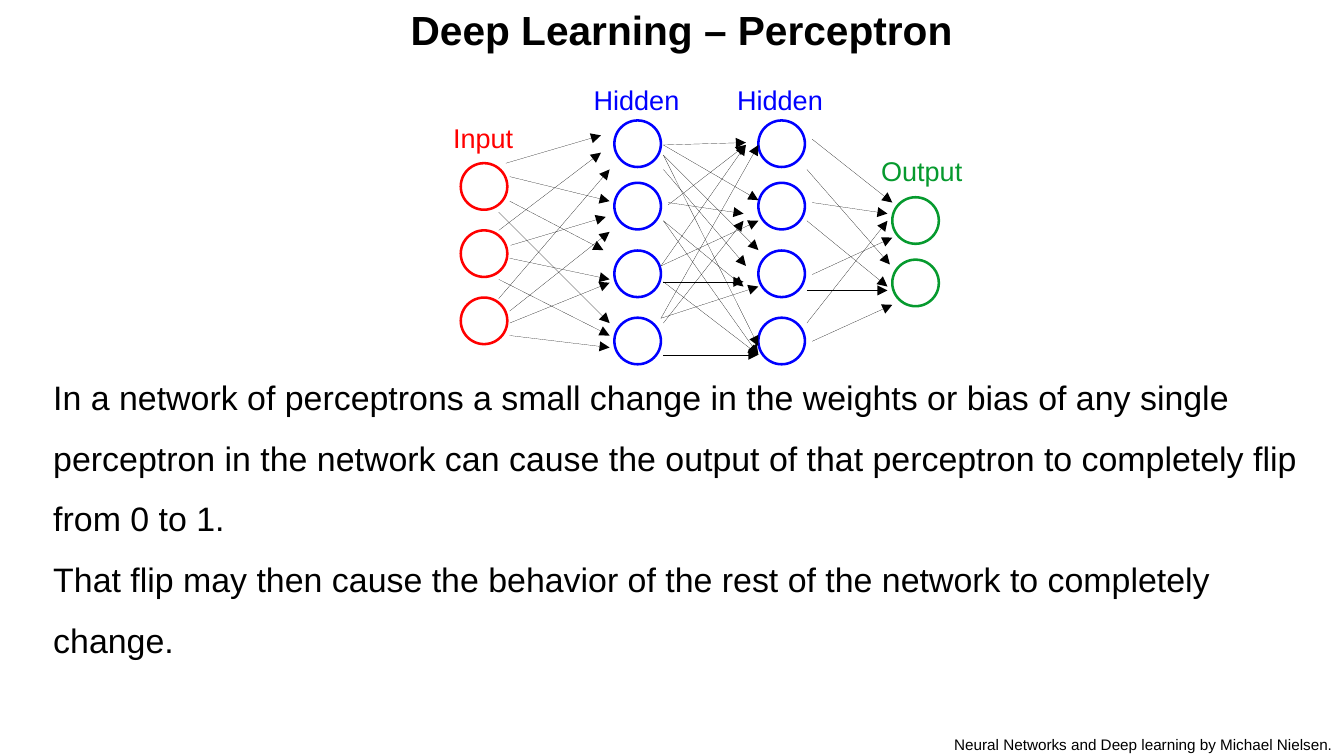
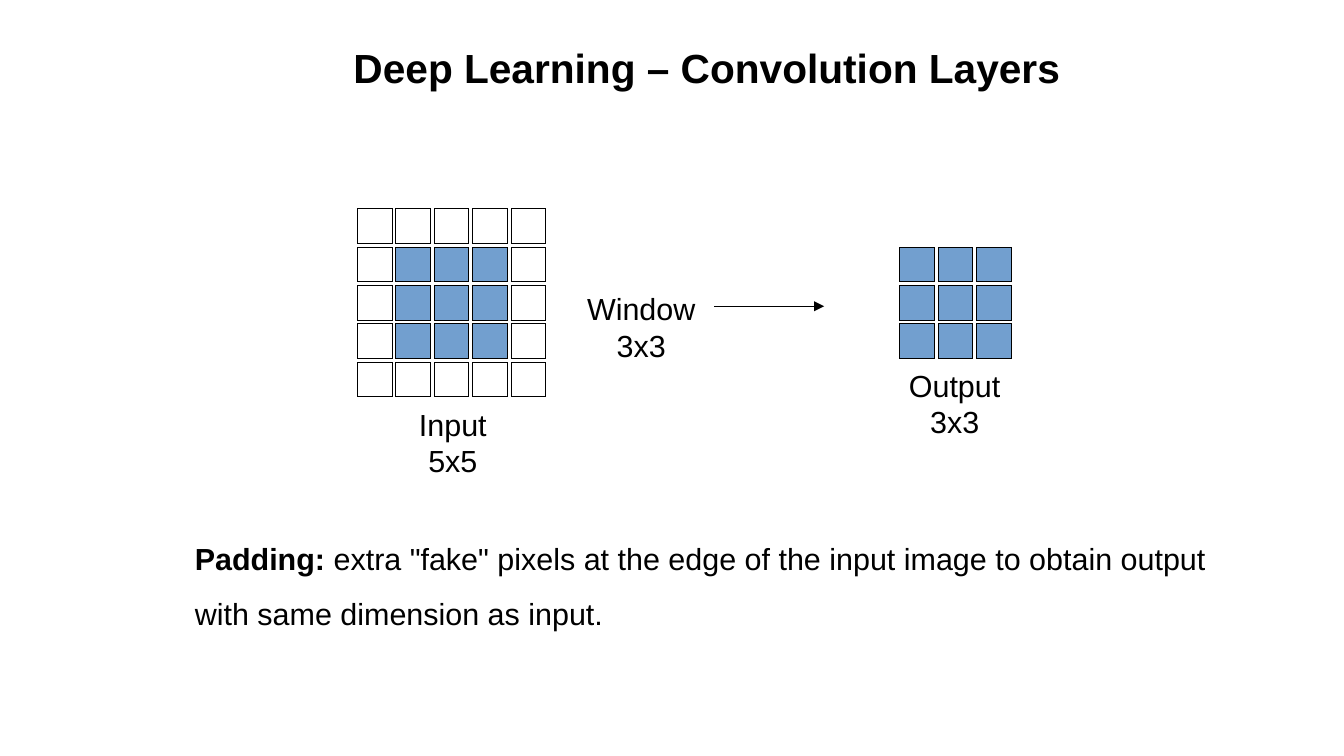
from lxml import etree
from pptx import Presentation
from pptx.dml.color import RGBColor
from pptx.enum import shapes, text
from pptx.oxml.ns import qn
from pptx.util import Cm, Pt

FONT = "Arial"
BLACK, RED, BLUE, GREEN, PIXEL = "000000", "FF0000", "0000FF", "069A2E", "729FCF"
NODE = 0.97
CELL, PITCH = 0.72, 0.8

LAYERS = [
    ("Input", RED, 9.6, (3.4, 4.8, 6.2), (9.19, 2.41)),
    ("Hidden", BLUE, 12.8, (2.51, 3.81, 5.22, 6.62), (12.12, 1.62)),
    ("Hidden", BLUE, 15.8, (2.51, 3.81, 5.22, 6.62), (15.11, 1.61)),
    ("Output", GREEN, 18.59, (4.11, 5.41), (18.11, 3.1)),
]

INPUT_WEIGHTS = [
    (10.54, 3.4, 12.52, 2.82), (10.62, 3.68, 12.7, 4.19),
    (10.62, 4.19, 12.57, 5.21), (10.39, 4.42, 12.7, 6.73),
    (10.64, 5.11, 12.62, 4.52), (10.62, 5.38, 12.7, 5.82),
    (10.39, 5.82, 12.7, 6.99), (10.39, 4.8, 12.52, 3.18),
    (10.39, 6.22, 12.7, 3.53), (10.62, 6.48, 12.7, 4.83),
    (10.62, 6.73, 12.7, 5.89), (10.62, 6.99, 12.7, 7.24),
]
HIDDEN_WEIGHTS = [
    (13.82, 3.53, 15.54, 5.54), (13.92, 4.22, 15.49, 4.45),
    (13.82, 4.6, 15.49, 5.97), (13.82, 5.87, 15.49, 5.87),
    (13.82, 6.73, 15.49, 4.6), (13.82, 3.02, 15.54, 2.97),
    (13.82, 3.02, 15.8, 4.17), (13.82, 3.23, 15.8, 5.21),
    (13.82, 3.23, 15.8, 7.21), (13.92, 4.27, 15.54, 3.02),
    (13.82, 4.6, 15.8, 7.39), (13.77, 5.54, 15.54, 3.02),
    (13.77, 5.54, 15.8, 4.6), (13.82, 5.87, 15.8, 7.39),
    (13.77, 6.63, 15.8, 3.02), (13.77, 6.63, 15.8, 5.97),
    (13.82, 7.39, 15.8, 7.39),
]
OUTPUT_WEIGHTS = [
    (16.92, 2.9, 18.59, 4.22), (16.81, 3.53, 18.54, 5.51),
    (16.92, 4.22, 18.49, 4.45), (16.81, 4.6, 18.49, 5.97),
    (16.92, 5.72, 18.59, 4.95), (16.81, 6.05, 18.49, 6.05),
    (16.92, 7.11, 18.59, 6.35), (16.81, 6.73, 18.49, 4.6),
]


def rgb(hex_code):
    """Turn a hex string into a colour."""
    return RGBColor.from_string(hex_code)


def style(paragraph, size, color=BLACK, bold=None):
    """Set the font of a whole paragraph."""
    font = paragraph.font
    font.name, font.size, font.bold = FONT, Pt(size), bold
    font.color.rgb = rgb(color)


def add_titled_slide(deck, title, left, top, width):
    """Add a title-only slide with its title moved into place."""
    slide = deck.slides.add_slide(deck.slide_layouts[5])
    heading = slide.shapes.title
    heading.left, heading.top = Cm(left), Cm(top)
    heading.width, heading.height = Cm(width), Cm(1.19)
    frame = heading.text_frame
    frame.text = title
    frame.auto_size = text.MSO_AUTO_SIZE.NONE
    frame.vertical_anchor = text.MSO_ANCHOR.TOP
    paragraph = frame.paragraphs[0]
    paragraph.alignment = text.PP_ALIGN.LEFT
    style(paragraph, 24, bold=True)
    return slide


def add_text(slide, box, paragraphs, size, color=BLACK, align=text.PP_ALIGN.LEFT,
             spacing=None, right_inset=0.25):
    """Add a text box; each paragraph is a list of (words, bold) runs."""
    frame = slide.shapes.add_textbox(*map(Cm, box)).text_frame
    frame.word_wrap = True
    frame.margin_right = Cm(right_inset)
    for index, runs in enumerate(paragraphs):
        paragraph = frame.add_paragraph() if index else frame.paragraphs[0]
        paragraph.alignment = align
        if spacing:
            paragraph.line_spacing = spacing
        style(paragraph, size, color)
        for words, bold in runs:
            run = paragraph.add_run()
            run.text = words
            if bold:
                run.font.bold = True


def add_caption(slide, box, name, size):
    """Add a centred caption with a name above a grid size."""
    add_text(slide, box, [[(name, False)], [(size, False)]], 18,
             align=text.PP_ALIGN.CENTER)


def set_hairline(line, color):
    """Give a line its colour and the thinnest stroke."""
    line.color.rgb = rgb(color)
    stroke = line._get_or_add_ln()
    stroke.set("w", "0")
    return stroke


def add_outline(slide, kind, left, top, side):
    """Add a square or circle without fill or shadow."""
    shape = slide.shapes.add_shape(kind, Cm(left), Cm(top), Cm(side), Cm(side))
    shape.shadow.inherit = False
    shape.fill.background()
    return shape


def add_arrow(slide, ends):
    """Add a hairline arrow running from the first point to the second."""
    arrow = slide.shapes.add_connector(shapes.MSO_CONNECTOR.STRAIGHT, *map(Cm, ends))
    stroke = set_hairline(arrow.line, BLACK)
    etree.SubElement(stroke, qn("a:tailEnd"), type="triangle")
    etree.SubElement(arrow._element.spPr, qn("a:effectLst"))


def add_layer(slide, name, color, left, tops, label_at):
    """Add one network layer with its label."""
    for top in tops:
        node = add_outline(slide, shapes.MSO_SHAPE.OVAL, left, top, NODE)
        node.line.color.rgb = rgb(color)
        node.line.width = Pt(1.5)
    add_text(slide, (*label_at, 2.75, 0.89), [[(name, False)]], 16, color)


def add_pixels(slide, left, top, count, border=0):
    """Add a square pixel grid, leaving a border of unfilled cells."""
    inner = range(border, count - border)
    for row in range(count):
        for column in range(count):
            pixel = add_outline(slide, shapes.MSO_SHAPE.RECTANGLE,
                                left + column * PITCH, top + row * PITCH, CELL)
            set_hairline(pixel.line, BLACK)
            if row in inner and column in inner:
                pixel.fill.solid()
                pixel.fill.fore_color.rgb = rgb(PIXEL)


def build_perceptron(deck):
    """Build the slide on networks of perceptrons."""
    slide = add_titled_slide(deck, "Deep Learning – Perceptron", 8.3, -0.03, 11.9)
    for layer in LAYERS:
        add_layer(slide, *layer)
    for weight in INPUT_WEIGHTS + HIDDEN_WEIGHTS + OUTPUT_WEIGHTS:
        add_arrow(slide, weight)
    add_text(slide, (0.86, 7.29, 26.97, 6.6), [
        [("In a network of perceptrons a small change in the weights or bias of any "
          "single perceptron in the network can cause the output of that perceptron "
          "to completely flip from 0 to 1.", False)],
        [("That flip may then cause the behavior of the rest of the network to "
          "completely change.", False)],
    ], 20, spacing=1.5)
    add_text(slide, (19.63, 15.19, 8.36, 0.53),
             [[("Neural Networks and Deep learning by Michael Nielsen.", False)]],
             9, right_inset=0)


def build_convolution(deck):
    """Build the slide on padding in convolution layers."""
    slide = add_titled_slide(deck, "Deep Learning – Convolution Layers", 7.11, 0.76, 16.74)
    add_pixels(slide, 7.45, 4.35, 5, border=1)
    add_pixels(slide, 18.75, 5.15, 3)
    add_caption(slide, (7.9, 8.33, 3.07, 1.73), "Input", "5x5")
    add_caption(slide, (11.86, 5.92, 3, 1.73), "Window", "3x3")
    add_caption(slide, (18.11, 7.52, 3.56, 1.73), "Output", "3x3")
    add_arrow(slide, (14.88, 6.38, 17.17, 6.38))
    add_text(slide, (3.81, 10.74, 22.3, 2.49), [
        [("Padding:", True),
         (' extra "fake" pixels at the edge of the input image to obtain output '
          "with same dimension as input.", False)],
    ], 18, spacing=1.5)


def main():
    """Build and save the deck."""
    deck = Presentation()
    deck.slide_width, deck.slide_height = Cm(28), Cm(15.75)
    build_perceptron(deck)
    build_convolution(deck)
    deck.save("out.pptx")


if __name__ == "__main__":
    main()
